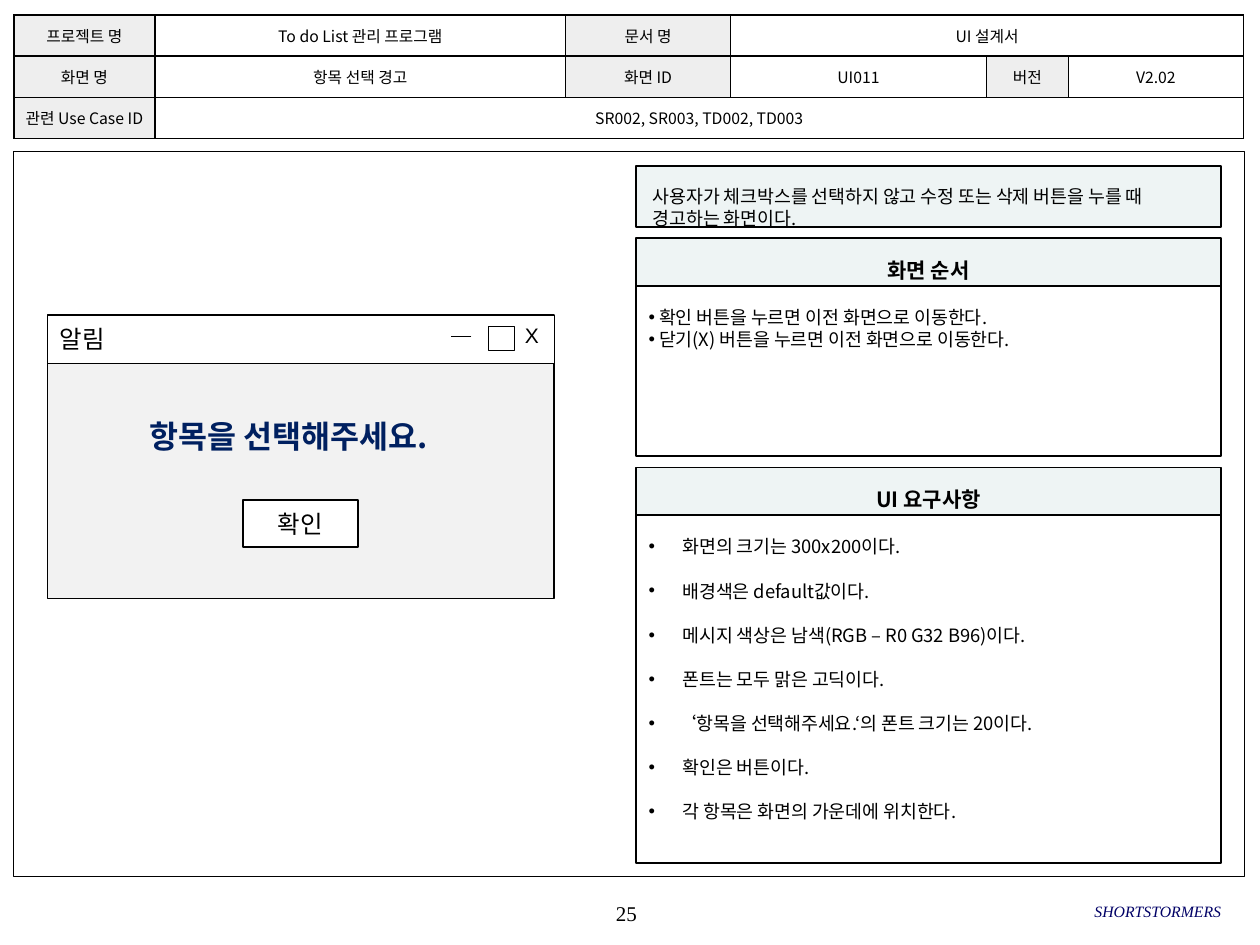
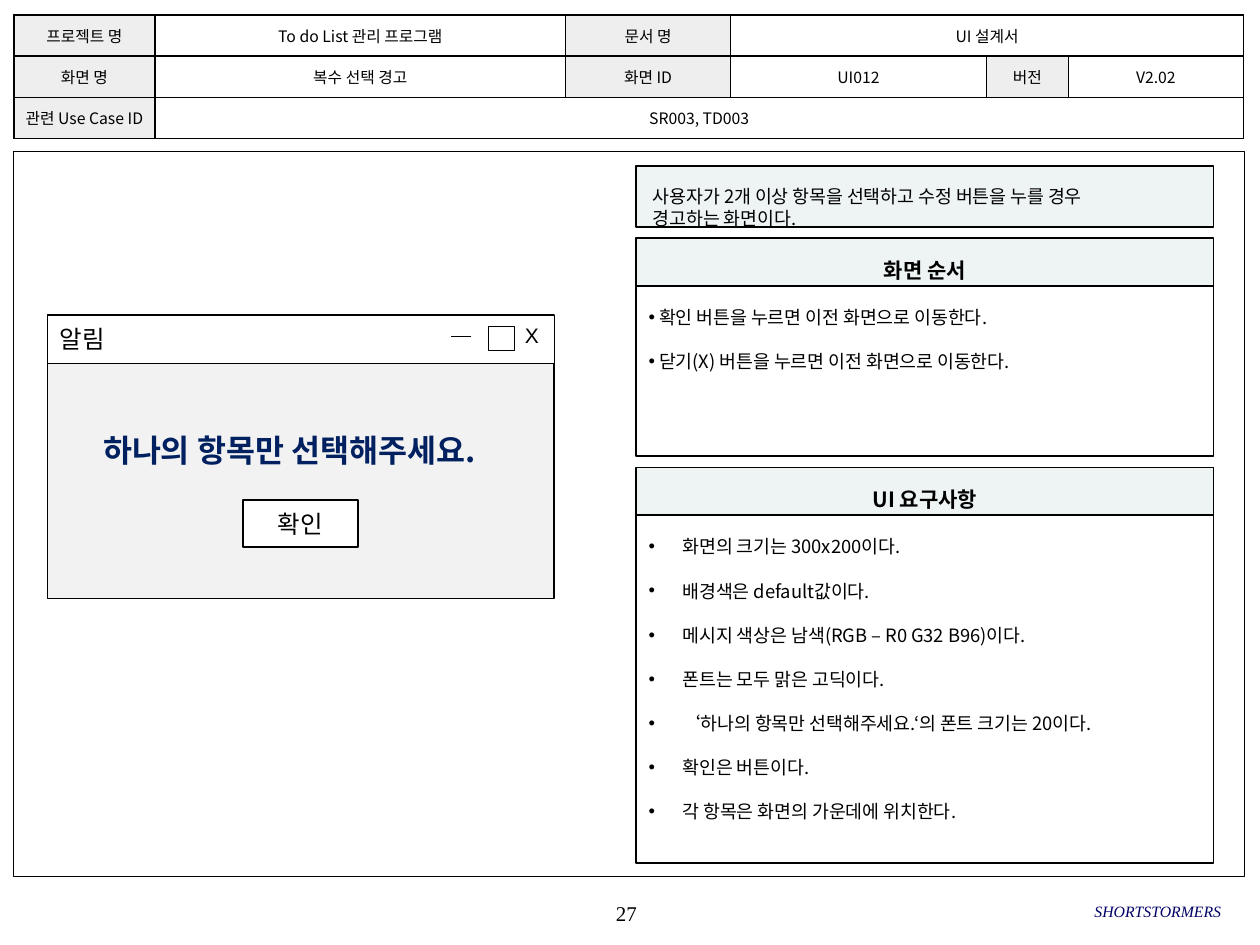
from lxml import etree
from pptx import Presentation
from pptx.dml.color import RGBColor
from pptx.enum.shapes import MSO_CONNECTOR, MSO_SHAPE
from pptx.enum.text import MSO_ANCHOR, PP_ALIGN
from pptx.oxml.ns import qn
from pptx.util import Pt

RECTANGLE = MSO_SHAPE.RECTANGLE
STRAIGHT = MSO_CONNECTOR.STRAIGHT
TOP, MIDDLE = MSO_ANCHOR.TOP, MSO_ANCHOR.MIDDLE
LEFT, CENTER, RIGHT, JUSTIFY = PP_ALIGN.LEFT, PP_ALIGN.CENTER, PP_ALIGN.RIGHT, PP_ALIGN.JUSTIFY

BLACK = RGBColor(0x00, 0x00, 0x00)
WHITE = RGBColor(0xFF, 0xFF, 0xFF)
PALE_TEAL = RGBColor(0xEE, 0xF4, 0xF4)
LABEL_GRAY = RGBColor(0xEE, 0xEE, 0xEE)
WINDOW_GRAY = RGBColor(0xF2, 0xF2, 0xF2)
NAVY = RGBColor(0x00, 0x20, 0x60)
FOOTER_BLUE = RGBColor(0x00, 0x00, 0x66)

KOREAN = "Noto Sans CJK KR"
SERIF = "Times New Roman"
BODY = {"size": Pt(10.5)}
HEADING = {"size": Pt(12), "bold": True}
CONTROL = {"size": Pt(14)}
MESSAGE = {"size": Pt(18), "bold": True}
CELL = {"size": Pt(9)}
PAGE_NUMBER = {"size": Pt(12), "name": SERIF}
TEAM_NAME = {"size": Pt(9), "italic": True, "name": SERIF}
CLOSE_MARK = {"size": Pt(12), "name": "Arial"}

PANEL_LEFT = 363.6
HEADING_HEIGHT = 27.4
SIDE_INSETS = (7.2, 3.6, 7.2, 3.6)
HEADING_INSETS = (7.2, 10.8, 7.2, 0)
LIST_INSETS = (7.2, 11.5, 7.2, 3.6)
NO_INSETS = (0, 0, 0, 0)
COLUMN_WIDTHS = [80.6, 234.7, 94.3, 146.2, 46.8, 100.1]
ROW_HEIGHT = 23.5
LABEL_CELLS = {(0, 0), (0, 2), (1, 0), (1, 2), (1, 4), (2, 0)}

SCREENS = [
    {
        "page": "25", "name": "항목 선택 경고", "id": "UI011",
        "use_cases": "SR002, SR003, TD002, TD003",
        "description": " 사용자가 체크박스를 선택하지 않고 수정 또는 삭제 버튼을 누를 때",
        "panel_width": 334.1, "flow_gap": 0,
        "message": "항목을 선택해주세요.", "message_box": (78.5, 234.7, 195.8, 28.8),
        "quote_lead": "",
    },
    {
        "page": "27", "name": "복수 선택 경고", "id": "UI012",
        "use_cases": "SR003, TD003",
        "description": " 사용자가 2개 이상 항목을 선택하고 수정 버튼을 누를 경우",
        "panel_width": 329.8, "flow_gap": 12.6,
        "message": "하나의 항목만 선택해주세요.", "message_box": (51.8, 242.6, 250.6, 28.8),
        "quote_lead": " ",
    },
]
FLOW = [" 확인 버튼을 누르면 이전 화면으로 이동한다.",
        " 닫기(X) 버튼을 누르면 이전 화면으로 이동한다."]


def add_box(slide, bounds, fill=None, line_width=None):
    shape = slide.shapes.add_shape(RECTANGLE, *map(Pt, bounds))
    shape.shadow.inherit = False
    if fill is None:
        shape.fill.background()
    else:
        shape.fill.solid()
        shape.fill.fore_color.rgb = fill
    if line_width is None:
        shape.line.fill.background()
    else:
        shape.line.color.rgb = BLACK
        shape.line.width = Pt(line_width)
    return shape


def write(frame, lines, style, color=BLACK, align=LEFT, anchor=MIDDLE,
          insets=SIDE_INSETS, pitch=None, gap=0, bullet_indent=None):
    """Fill a text frame, one paragraph a line; pitch is the exact line height."""
    frame.word_wrap = True
    frame.vertical_anchor = anchor
    for side, inset in zip(("left", "top", "right", "bottom"), insets):
        setattr(frame, f"margin_{side}", Pt(inset))
    for index, line in enumerate(lines):
        paragraph = frame.add_paragraph() if index else frame.paragraphs[0]
        paragraph.alignment = align
        if pitch:
            paragraph.line_spacing = Pt(pitch)
        if index and gap:
            paragraph.space_before = Pt(gap)
        if bullet_indent is not None:
            properties = paragraph._p.get_or_add_pPr()
            properties.set("marL", str(Pt(bullet_indent)))
            properties.set("indent", str(-Pt(bullet_indent)))
            etree.SubElement(properties, qn("a:buFont")).set("typeface", "Arial")
            etree.SubElement(properties, qn("a:buChar")).set("char", "•")
        run = paragraph.add_run()
        run.text = line
        run.font.color.rgb = color
        for name, value in {"name": KOREAN, **style}.items():
            setattr(run.font, name, value)
        east_asian = etree.SubElement(run._r.get_or_add_rPr(), qn("a:ea"))
        east_asian.set("typeface", run.font.name)


presentation = Presentation()
presentation.slide_width = Pt(720)
presentation.slide_height = Pt(540)

for screen in SCREENS:
    slide = presentation.slides.add_slide(presentation.slide_layouts[6])

    # Page frame and footer
    page_number = slide.shapes.add_textbox(Pt(283), Pt(509.8), Pt(149.8), Pt(23.8))
    write(page_number.text_frame, [screen["page"]], PAGE_NUMBER,
          align=CENTER, insets=NO_INSETS)
    add_box(slide, (7.9, 86.4, 703.4, 414.4), line_width=0.75)
    team_name = slide.shapes.add_textbox(Pt(477.4), Pt(509), Pt(220.3), Pt(23.8))
    write(team_name.text_frame, ["SHORTSTORMERS"], TEAM_NAME, FOOTER_BLUE,
          align=RIGHT, insets=NO_INSETS)

    # Description and the two headed sections
    width = screen["panel_width"]
    description = add_box(slide, (PANEL_LEFT, 95, width, 34.6), PALE_TEAL, 1)
    write(description.text_frame, [screen["description"], " 경고하는 화면이다."], BODY,
          align=JUSTIFY, anchor=TOP, insets=HEADING_INSETS, pitch=12.6)

    requirements = [
        " 화면의 크기는 300x200이다.",
        " 배경색은 default값이다.",
        " 메시지 색상은 남색(RGB – R0 G32 B96)이다.",
        " 폰트는 모두 맑은 고딕이다.",
        f"{screen['quote_lead']}‘{screen['message']}‘의 폰트 크기는 20이다.",
        " 확인은 버튼이다.",
        " 각 항목은 화면의 가운데에 위치한다.",
    ]
    sections = [
        ("화면 순서", 136.1, 97.2, FLOW, screen["flow_gap"], 0),
        ("UI 요구사항", 267.1, 198.7, requirements, 12.6, 17),
    ]
    for title, top, body_height, lines, gap, indent in sections:
        heading = add_box(slide, (PANEL_LEFT, top, width, HEADING_HEIGHT), PALE_TEAL, 1)
        write(heading.text_frame, [title], HEADING, align=CENTER, anchor=TOP,
              insets=HEADING_INSETS, pitch=14.4)
        body = add_box(slide, (PANEL_LEFT, top + HEADING_HEIGHT, width, body_height), WHITE, 1)
        write(body.text_frame, lines, BODY, align=JUSTIFY, anchor=TOP,
              insets=LIST_INSETS, pitch=12.6, gap=gap, bullet_indent=indent)

    # Document information table
    rows = [
        ["프로젝트 명", "To do List 관리 프로그램", "문서 명", "UI 설계서", None, None],
        ["화면 명", screen["name"], "화면 ID", screen["id"], "버전", "V2.02"],
        ["관련 Use Case ID", screen["use_cases"], None, None, None, None],
    ]
    table = slide.shapes.add_table(3, 6, Pt(7.9), Pt(8.6), Pt(sum(COLUMN_WIDTHS)),
                                   Pt(3 * ROW_HEIGHT)).table
    table.first_row = table.horz_banding = False
    for column, column_width in zip(table.columns, COLUMN_WIDTHS):
        column.width = Pt(column_width)
    for row_index, row in enumerate(rows):
        table.rows[row_index].height = Pt(ROW_HEIGHT)
        for column_index, text in enumerate(row):
            cell = table.cell(row_index, column_index)
            cell_properties = cell._tc.get_or_add_tcPr()
            for edge in ("a:lnL", "a:lnR", "a:lnT", "a:lnB"):
                border = etree.SubElement(cell_properties, qn(edge), w=str(Pt(1)))
                border_fill = etree.SubElement(border, qn("a:solidFill"))
                etree.SubElement(border_fill, qn("a:srgbClr"), val=str(BLACK))
            if (row_index, column_index) in LABEL_CELLS:
                cell.fill.solid()
                cell.fill.fore_color.rgb = LABEL_GRAY
            else:
                cell.fill.background()
            if text:
                write(cell.text_frame, [text], CELL, align=CENTER)
            cell.vertical_anchor = MIDDLE
            cell.margin_left = cell.margin_right = Pt(2.9)
            cell.margin_top = cell.margin_bottom = Pt(1.4)
    table.cell(0, 3).merge(table.cell(0, 5))
    table.cell(2, 1).merge(table.cell(2, 5))

    # Mock-up of the alert window
    add_box(slide, (27.1, 180, 289.4, 162), WINDOW_GRAY, 1)
    message = add_box(slide, screen["message_box"], WINDOW_GRAY)
    write(message.text_frame, [screen["message"]], MESSAGE, NAVY)
    title_bar = add_box(slide, (27.1, 180, 289.4, HEADING_HEIGHT), WHITE, 0.25)
    write(title_bar.text_frame, ["알림"], CONTROL)
    close_mark = slide.shapes.add_textbox(Pt(297.4), Pt(181), Pt(13), Pt(21.6))
    write(close_mark.text_frame, ["X"], CLOSE_MARK, align=CENTER, insets=NO_INSETS)
    add_box(slide, (278.8, 186.5, 15, 13.7), WHITE, 0.25)
    minimize = slide.shapes.add_connector(STRAIGHT, Pt(269.3), Pt(192.3), Pt(257.8), Pt(192.3))
    minimize.line.color.rgb = BLACK
    minimize.line.width = Pt(0.25)
    etree.SubElement(minimize._element.spPr, qn("a:effectLst"))
    confirm_button = add_box(slide, (139, 285.9, 65.5, 26.6), WHITE, 1)
    write(confirm_button.text_frame, ["확인"], CONTROL, align=CENTER)

presentation.save("out.pptx")
